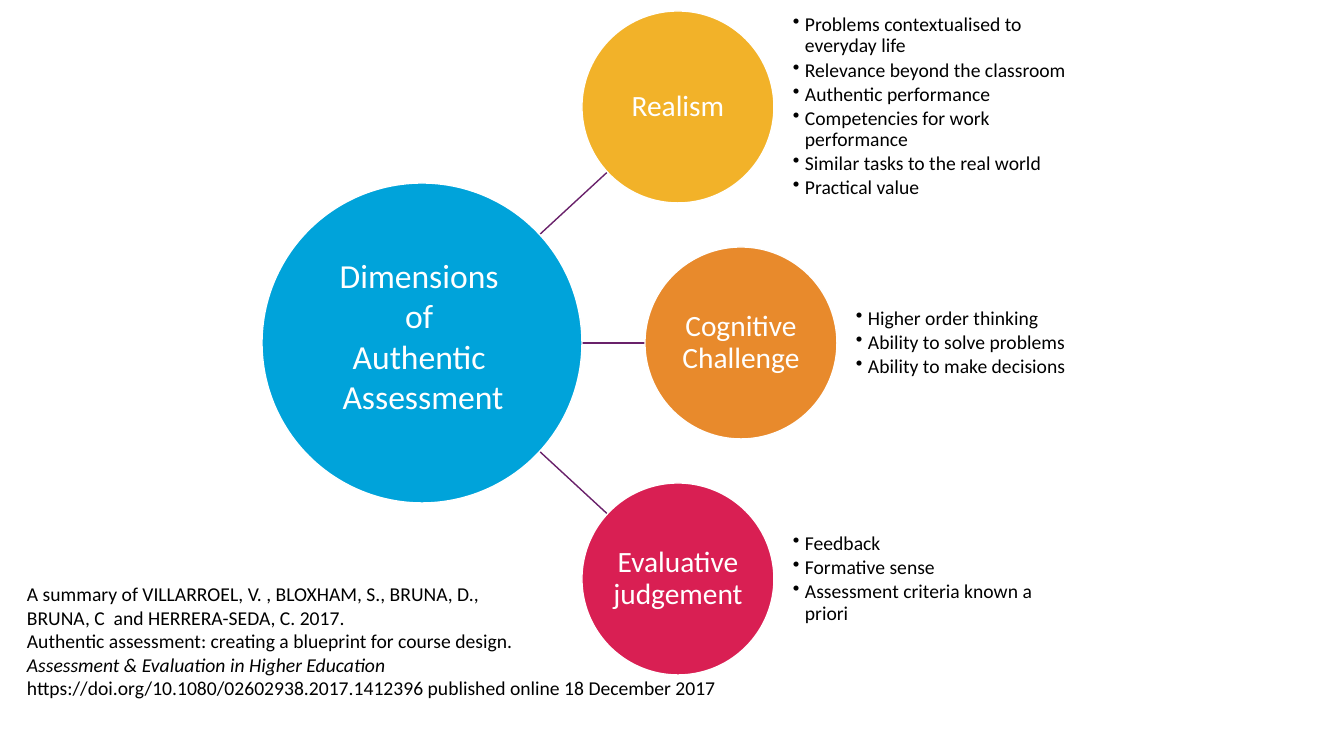
from math import hypot

from lxml import etree
from pptx import Presentation
from pptx.dml.color import RGBColor
from pptx.enum.shapes import MSO_CONNECTOR, MSO_SHAPE
from pptx.enum.text import MSO_ANCHOR, PP_ALIGN
from pptx.oxml.ns import qn
from pptx.util import Pt

OVAL, STRAIGHT = MSO_SHAPE.OVAL, MSO_CONNECTOR.STRAIGHT
MIDDLE, TOP = MSO_ANCHOR.MIDDLE, MSO_ANCHOR.TOP
CENTER, LEFT = PP_ALIGN.CENTER, PP_ALIGN.LEFT

WHITE = RGBColor(0xFF, 0xFF, 0xFF)
BLACK = RGBColor(0x00, 0x00, 0x00)
BLUE = RGBColor(0x00, 0xA3, 0xDA)
YELLOW = RGBColor(0xF2, 0xB2, 0x29)
ORANGE = RGBColor(0xE8, 0x8A, 0x2C)
CRIMSON = RGBColor(0xD9, 0x1F, 0x53)
PURPLE = RGBColor(0x69, 0x21, 0x6A)
FONT = "Calibri"

# Content
HUB_LINES = ["Dimensions ", "of ", "Authentic ", "Assessment"]
DIMENSIONS = [  # label, colour, centre x, bullets
    ("Realism", YELLOW, 678, [
        "Problems contextualised to everyday life",
        "Relevance beyond the classroom",
        "Authentic performance",
        "Competencies for work performance",
        "Similar tasks to the real world",
        "Practical value",
    ]),
    ("Cognitive Challenge", ORANGE, 741, [
        "Higher order thinking",
        "Ability to solve problems",
        "Ability to make decisions",
    ]),
    ("Evaluative judgement", CRIMSON, 678, [
        "Feedback",
        "Formative sense",
        "Assessment criteria known a priori",
    ]),
]
CITATION = [  # text, italic
    ("A summary of VILLARROEL, V. , BLOXHAM, S., BRUNA, D.,", False),
    ("BRUNA, C  and HERRERA-SEDA, C. 2017.", False),
    ("Authentic assessment: creating a blueprint for course design.", False),
    ("Assessment & Evaluation in Higher Education", True),
    ("https://doi.org/10.1080/02602938.2017.1412396 published online 18 December 2017", False),
]

# Layout in px
SLIDE_WIDTH, SLIDE_HEIGHT = 1344, 756
HUB_X, HUB_Y, HUB_RADIUS = 422, 343, 160
RADIUS, ROW_STEP = 96, 236
BULLET_GAP, BULLET_WIDTH, BULLET_INDENT = 19, 287, 12
HUB_TEXT_BOX = (329, 250, 188, 173)
CITATION_BOX = (17, 577, 717, 129)


def px(length):
    return round(length * 12192000 / SLIDE_WIDTH)


def set_insets(frame, inset):
    frame.margin_left = frame.margin_right = px(inset)
    frame.margin_top = frame.margin_bottom = px(inset)


def write_lines(frame, lines, size, color, align, spacing=1.0, after=0, bullet=False):
    for index, (text, italic) in enumerate(lines):
        paragraph = frame.add_paragraph() if index else frame.paragraphs[0]
        paragraph.alignment = align
        paragraph.line_spacing = spacing
        paragraph.space_after = Pt(after)
        if bullet:
            properties = paragraph._p.get_or_add_pPr()
            properties.set("marL", str(px(BULLET_INDENT)))
            properties.set("indent", str(-px(BULLET_INDENT)))
            etree.SubElement(properties, qn("a:buChar")).set("char", "•")
        run = paragraph.add_run()
        run.text = text
        run.font.name, run.font.size = FONT, Pt(size)
        run.font.italic = italic
        run.font.color.rgb = color


def add_text_box(slide, box, wrap, anchor):
    frame = slide.shapes.add_textbox(*map(px, box)).text_frame
    frame.word_wrap = wrap
    frame.vertical_anchor = anchor
    return frame


def add_circle(slide, x, y, radius, color):
    circle = slide.shapes.add_shape(
        OVAL, px(x - radius), px(y - radius), px(2 * radius), px(2 * radius))
    circle.shadow.inherit = False
    circle.fill.solid()
    circle.fill.fore_color.rgb = color
    circle.line.color.rgb = WHITE
    circle.line.width = Pt(1)
    return circle


def add_spoke(slide, x, y):
    distance = hypot(x - HUB_X, y - HUB_Y)
    across, down = (x - HUB_X) / distance, (y - HUB_Y) / distance
    spoke = slide.shapes.add_connector(
        STRAIGHT,
        px(HUB_X + HUB_RADIUS * across), px(HUB_Y + HUB_RADIUS * down),
        px(x - RADIUS * across), px(y - RADIUS * down))
    spoke.line.color.rgb = PURPLE
    spoke.line.width = Pt(1)
    etree.SubElement(spoke._element.spPr, qn("a:effectLst"))


def main():
    presentation = Presentation()
    presentation.slide_width, presentation.slide_height = px(SLIDE_WIDTH), px(SLIDE_HEIGHT)
    slide = presentation.slides.add_slide(presentation.slide_layouts[6])
    rows = [HUB_Y + (index - 1) * ROW_STEP for index in range(len(DIMENSIONS))]

    # Spokes and hub
    for (_, _, x, _), y in zip(DIMENSIONS, rows):
        add_spoke(slide, x, y)
    add_circle(slide, HUB_X, HUB_Y, HUB_RADIUS, BLUE)

    # Dimension circles with their bullets
    for (label, color, x, bullets), y in zip(DIMENSIONS, rows):
        frame = add_circle(slide, x, y, RADIUS, color).text_frame
        frame.word_wrap = True
        frame.vertical_anchor = MIDDLE
        set_insets(frame, 1)
        write_lines(frame, [(label, False)], 21, WHITE, CENTER, 0.9)

        box = (x + RADIUS + BULLET_GAP, y - RADIUS, BULLET_WIDTH, 2 * RADIUS)
        frame = add_text_box(slide, box, True, MIDDLE)
        set_insets(frame, 0)
        write_lines(frame, [(text, False) for text in bullets],
                    14, BLACK, LEFT, 0.9, 2.1, True)

    # Hub text and citation
    frame = add_text_box(slide, HUB_TEXT_BOX, False, TOP)
    write_lines(frame, [(text, False) for text in HUB_LINES], 24, WHITE, CENTER)
    frame = add_text_box(slide, CITATION_BOX, False, TOP)
    write_lines(frame, CITATION, 14, BLACK, LEFT)

    presentation.save("out.pptx")


if __name__ == "__main__":
    main()
